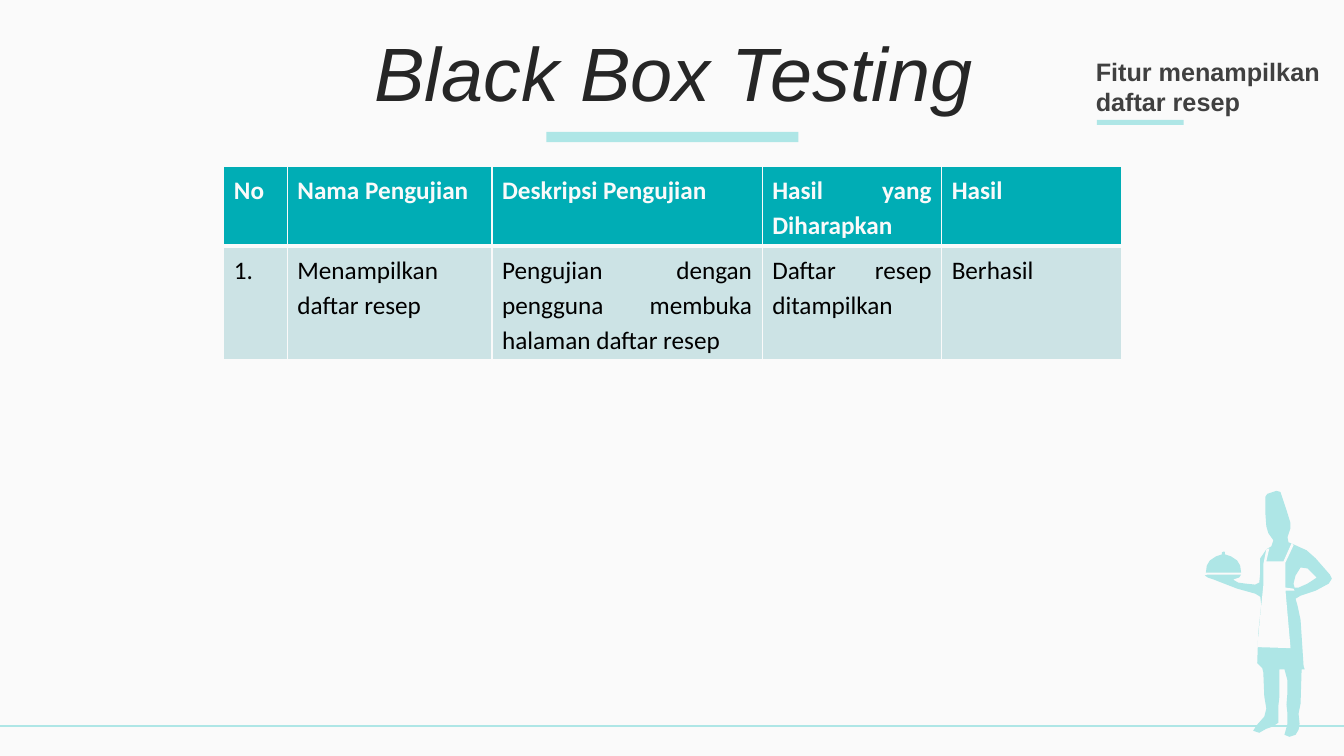
from lxml import etree
from pptx import Presentation
from pptx.dml.color import RGBColor
from pptx.enum import shapes, text
from pptx.oxml import ns
from pptx.util import Inches, Pt

COLORS = {
    "paper": "FAFAFA", "mint": "AEE6E6", "teal": "00ADB5",
    "pale": "CCE3E5", "title": "262626", "label": "404040", "body": "000000",
}

HEADERS = ["No", "Nama Pengujian", "Deskripsi Pengujian",
           "Hasil yang Diharapkan", "Hasil"]
RESULT = ["1.", "Menampilkan daftar resep",
          "Pengujian dengan pengguna membuka halaman daftar resep",
          "Daftar resep ditampilkan", "Berhasil"]
COLUMN_WIDTHS = [0.63, 2.03, 2.68, 1.78, 1.78]
ROW_HEIGHTS = [0.79, 1.13]

CHEF_BODY = [
    (11.98, 5.7), (12.31, 5.7), (12.29, 5.73), (12.23, 5.75), (12.28, 5.78),
    (12.35, 5.79), (12.45, 5.8), (12.49, 5.78), (12.5, 5.68), (12.5, 5.54),
    (12.56, 5.45), (12.61, 5.42), (12.63, 5.36), (12.58, 5.29), (12.56, 5.22),
    (12.55, 5.08), (12.55, 4.93), (12.57, 4.9), (12.66, 4.87), (12.7, 4.88),
    (12.73, 4.97), (12.76, 5.06), (12.8, 5.19), (12.8, 5.24), (12.77, 5.33),
    (12.78, 5.38), (12.85, 5.41), (12.96, 5.46), (13.05, 5.54), (13.19, 5.7),
    (13.21, 5.74), (13.18, 5.79), (13.05, 5.86), (12.9, 5.91), (12.85, 5.94),
    (12.87, 6.01), (12.9, 6.15), (12.93, 6.61), (12.94, 6.64), (12.91, 6.64),
    (12.9, 6.98), (12.88, 7.08), (12.89, 7.18), (12.88, 7.24), (12.85, 7.29),
    (12.79, 7.31), (12.74, 7.29), (12.77, 7.18), (12.77, 7.08), (12.76, 6.99),
    (12.77, 6.87), (12.77, 6.75), (12.74, 6.64), (12.69, 6.64), (12.69, 6.91),
    (12.68, 7), (12.68, 7.17), (12.62, 7.21), (12.56, 7.23), (12.49, 7.27),
    (12.43, 7.25), (12.46, 7.2), (12.54, 7.11), (12.56, 7.03), (12.54, 6.91),
    (12.53, 6.67), (12.52, 6.63), (12.47, 6.58), (12.48, 6.28), (12.51, 6),
    (12.5, 5.92), (12.45, 5.89), (12.27, 5.84), (12.09, 5.77), (12.04, 5.75),
    (11.98, 5.73), (11.95, 5.71),
]
ARM_GAP = [(12.84, 5.83), (12.88, 5.83), (12.97, 5.79), (13.06, 5.73),
           (12.97, 5.64), (12.9, 5.63), (12.85, 5.71), (12.83, 5.79)]
APRON = [
    (12.81, 5.39), (12.73, 5.57), (12.56, 5.57), (12.59, 5.44), (12.56, 5.45),
    (12.53, 5.6), (12.53, 5.81), (12.5, 6.1), (12.47, 6.42), (12.8, 6.43),
    (12.75, 5.86), (12.84, 5.86), (12.83, 5.84), (12.75, 5.83), (12.75, 5.58),
    (12.83, 5.41),
]
DISH_COVER = [
    (12.14, 5.47), (12.12, 5.48), (12.12, 5.5), (12.06, 5.52), (12, 5.56),
    (11.97, 5.61), (11.96, 5.68), (12.31, 5.68), (12.3, 5.61), (12.27, 5.56),
    (12.21, 5.52), (12.15, 5.5), (12.15, 5.48),
]


def rgb(name):
    return RGBColor.from_string(COLORS[name])


def paint(sp, color):
    sp.shadow.inherit = False
    sp.fill.solid()
    sp.fill.fore_color.rgb = rgb(color)
    sp.line.fill.background()


def add_bar(s, x, y, w, h):
    paint(s.shapes.add_shape(shapes.MSO_SHAPE.RECTANGLE, Inches(x), Inches(y),
                             Inches(w), Inches(h)), "mint")


def add_floor_line(s, y):
    line = s.shapes.add_connector(shapes.MSO_CONNECTOR.STRAIGHT,
                                  0, Inches(y), Inches(13.33), Inches(y))
    line.line.color.rgb = rgb("mint")
    line.line.width = Pt(1.5)
    etree.SubElement(line._element.spPr, ns.qn("a:effectLst"))


def add_outline(s, color, *contours):
    paths = [[(Inches(x), Inches(y)) for x, y in c] for c in contours]
    builder = s.shapes.build_freeform(*paths[0][0])
    builder.add_line_segments(paths[0][1:], close=True)
    for path in paths[1:]:
        builder.move_to(*path[0])
        builder.add_line_segments(path[1:], close=True)
    paint(builder.convert_to_shape(), color)


def style(p, size, font, color, bold=False, italic=False):
    p.font.size = Pt(size)
    p.font.name = font
    p.font.color.rgb = rgb(color)
    p.font.bold = bold
    p.font.italic = italic


def add_text(s, x, y, w, h, words, size, color, align, **look):
    tf = s.shapes.add_textbox(Inches(x), Inches(y), Inches(w), Inches(h)).text_frame
    tf.word_wrap = True
    tf.vertical_anchor = text.MSO_ANCHOR.MIDDLE
    p = tf.paragraphs[0]
    p.text = words
    p.alignment = align
    style(p, size, "Arial", color, **look)
    return p


def set_borders(cell, top, bottom):
    tcPr = cell._tc.get_or_add_tcPr()
    for side, width in (("L", 1), ("R", 1), ("T", top), ("B", bottom)):
        ln = etree.SubElement(tcPr, ns.qn(f"a:ln{side}"), w=str(Pt(width)))
        fill = etree.SubElement(ln, ns.qn("a:solidFill"))
        etree.SubElement(fill, ns.qn("a:srgbClr"), val=COLORS["paper"])


def fill_row(table, row, words, fill, color, bold, top, bottom):
    for cell, word in zip(table.rows[row].cells, words):
        set_borders(cell, top, bottom)
        cell.fill.solid()
        cell.fill.fore_color.rgb = rgb(fill)
        p = cell.text_frame.paragraphs[0]
        p.text = word
        p.alignment = text.PP_ALIGN.JUSTIFY
        p.line_spacing = 1.14
        style(p, 18, "Calibri", color, bold=bold)


def add_test_table(s):
    table = s.shapes.add_table(
        len(ROW_HEIGHTS), len(COLUMN_WIDTHS), Inches(2.22), Inches(1.65),
        Inches(sum(COLUMN_WIDTHS)), Inches(sum(ROW_HEIGHTS))).table
    for column, width in zip(table.columns, COLUMN_WIDTHS):
        column.width = Inches(width)
    for row, height in zip(table.rows, ROW_HEIGHTS):
        row.height = Inches(height)
    fill_row(table, 0, HEADERS, "teal", "paper", True, 1, 3)
    fill_row(table, 1, RESULT, "pale", "body", False, 3, 1)


def add_chef(s):
    add_outline(s, "mint", CHEF_BODY, ARM_GAP)
    add_outline(s, "paper", APRON)
    add_outline(s, "mint", DISH_COVER)


def main():
    prs = Presentation()
    prs.slide_width, prs.slide_height = Inches(13.33), Inches(7.5)
    s = prs.slides.add_slide(prs.slide_layouts[6])
    s.background.fill.solid()
    s.background.fill.fore_color.rgb = rgb("paper")

    add_bar(s, 5.42, 1.31, 2.5, 0.1)
    add_floor_line(s, 7.2)
    add_chef(s)
    title = add_text(s, 0.35, 0.37, 12.66, 0.79, "Black Box Testing", 54,
                     "title", text.PP_ALIGN.CENTER, italic=True)
    title.line_spacing = 0.9
    add_text(s, 10.77, 0.68, 2.43, 0.35, "Fitur menampilkan daftar resep", 18,
             "label", text.PP_ALIGN.LEFT, bold=True)
    add_bar(s, 10.88, 1.19, 0.86, 0.05)
    add_test_table(s)
    prs.save("out.pptx")


if __name__ == "__main__":
    main()
